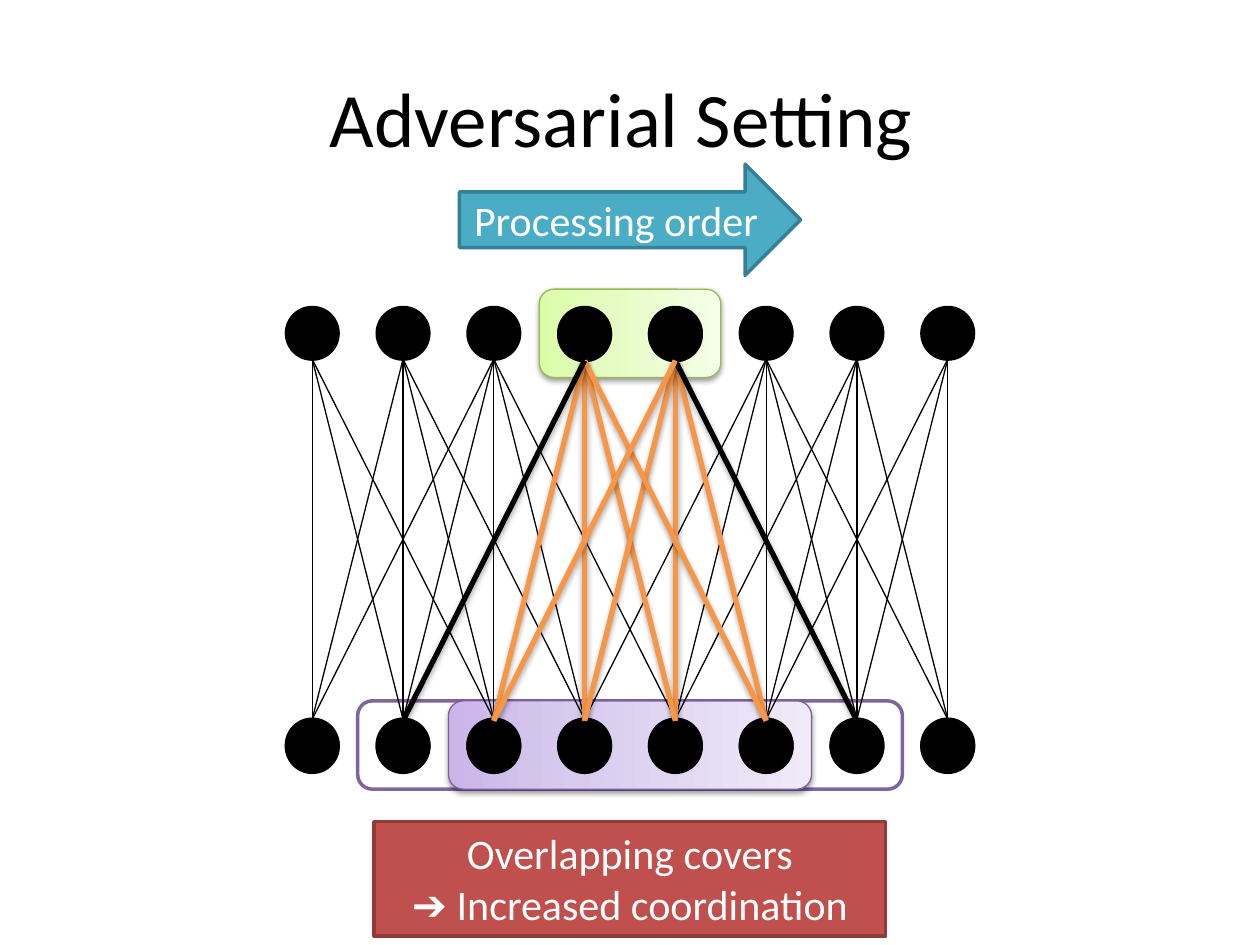
from lxml import etree
from pptx import Presentation
from pptx.dml.color import RGBColor
from pptx.enum.shapes import MSO_CONNECTOR, MSO_SHAPE
from pptx.enum.text import MSO_ANCHOR, PP_ALIGN
from pptx.oxml.ns import qn
from pptx.util import Cm, Pt

LINE = MSO_CONNECTOR.STRAIGHT
DOT, COVER = MSO_SHAPE.OVAL, MSO_SHAPE.ROUNDED_RECTANGLE
ARROW, BOX = MSO_SHAPE.DOWN_ARROW, MSO_SHAPE.RECTANGLE
CENTER = PP_ALIGN.CENTER
MIDDLE, TOP = MSO_ANCHOR.MIDDLE, MSO_ANCHOR.TOP

BLACK, WHITE, ORANGE = "000000", "FFFFFF", "F79646"
MID, STEP, COUNT, SIZE = 12.7, 1.83, 8, 1.04
UPPER, LOWER, SHIFT = 6.72, 15.02, 0.03
REACH = (0, 1, -1, 2, -2)
PURPLE = ((0, "C9B5E8"), (35, "D8CBEE"), (100, "F0EAF9"))
GREEN = ((0, "DAFDA7"), (35, "E4FCC2"), (100, "F5FFE7"))


def color(code):
    return RGBColor.from_string(code)


def assign(item, values):
    for name, value in values.items():
        setattr(item, name, value)


def child(node, tag, **attrs):
    return etree.SubElement(node, qn(tag), attrs)


def effect(item, alpha=0, dist=0):
    group = child(item._element.spPr, "a:effectLst")
    if alpha:
        cast = child(group, "a:outerShdw", blurRad="40000", dist=str(dist),
                     dir="5400000", rotWithShape="0")
        tone = child(cast, "a:srgbClr", val=BLACK)
        child(tone, "a:alpha", val=str(alpha * 1000))


def blend(shape, stops):
    shape.fill.gradient()
    shape.fill.gradient_angle = 90
    group = shape._element.spPr.find(".//" + qn("a:gsLst"))
    for stop in list(group):
        group.remove(stop)
    for place, code in stops:
        stop = child(group, "a:gs", pos=str(place * 1000))
        child(stop, "a:srgbClr", val=code)


def stroke(item, code, width):
    item.line.color.rgb = color(code)
    item.line.width = Pt(width)


def draw(shapes, kind, x, y, wide, high, fill, edge, width=2, turn=0, shade=0):
    shape = shapes.add_shape(kind, Cm(x - wide / 2), Cm(y - high / 2), Cm(wide), Cm(high))
    shape.rotation = turn
    if isinstance(fill, str):
        shape.fill.solid()
        shape.fill.fore_color.rgb = color(fill)
    else:
        blend(shape, fill)
    stroke(shape, edge, width)
    effect(shape, shade, 20000)
    return shape


def write(shape, lines, size, code, anchor=MIDDLE):
    frame = shape.text_frame
    assign(frame, {"word_wrap": True, "vertical_anchor": anchor})
    frame.text = "\n".join(lines)
    for para in frame.paragraphs:
        para.alignment = CENTER
        assign(para.runs[0].font, {"name": "Calibri", "size": Pt(size)})
        para.runs[0].font.color.rgb = color(code)


def column(index):
    return MID + (index - (COUNT - 1) / 2) * STEP


def cover(shapes, count, y, fill, edge, width, shade=0):
    draw(shapes, COVER, MID, y, 1.78, count * STEP, fill, edge, width, 90, shade)


def dots(shapes, columns, y):
    for index in columns:
        draw(shapes, DOT, column(index), y, SIZE, SIZE, BLACK, BLACK, turn=90)


def links(shapes, columns, drop, width, inner=(), shade=0):
    for step in REACH:
        for index in columns:
            end = index + step
            if 0 <= end < COUNT:
                link = shapes.add_connector(
                    LINE, Cm(column(index)), Cm(UPPER + SIZE / 2 + drop),
                    Cm(column(end)), Cm(LOWER - SIZE / 2 + drop))
                stroke(link, ORANGE if end in inner else BLACK, width)
                effect(link, shade, 23000)


def main():
    deck = Presentation()
    assign(deck, {"slide_width": Cm(25.4), "slide_height": Cm(19.05)})
    shapes = deck.slides.add_slide(deck.slide_layouts[6]).shapes

    cover(shapes, 6, LOWER, WHITE, "8064A2", 2)
    cover(shapes, 4, LOWER, PURPLE, "7D60A0", 0.75, 38)
    cover(shapes, 2, UPPER, GREEN, "98B955", 0.75, 38)

    title = shapes.add_textbox(Cm(1.27), Cm(0.76), Cm(22.86), Cm(3.18))
    write(title, ["Adversarial Setting "], 44, BLACK)

    graph = shapes.add_group_shape().shapes
    dots(graph, range(COUNT), LOWER)
    dots(graph, range(COUNT), UPPER)
    links(graph, range(COUNT), 0, 0.75)

    arrow = draw(shapes, ARROW, MID, 4.43, 2.24, 6.88, "4BACC6", "377F92", turn=270)
    write(arrow, ["Processing order"], 24, WHITE)
    arrow.text_frame._txBody.bodyPr.set("vert", "vert")

    focus = shapes.add_group_shape().shapes
    dots(focus, range(COUNT), LOWER + SHIFT)
    dots(focus, (3, 4), UPPER + SHIFT)
    links(focus, (4, 3), SHIFT, 3, range(2, 6), 35)

    note = draw(shapes, BOX, MID, 17.72, 10.31, 2.31, "C0504D", "8E3B39")
    write(note, ["Overlapping covers", "➔ Increased coordination"], 24, WHITE, TOP)
    deck.save("out.pptx")


if __name__ == "__main__":
    main()
